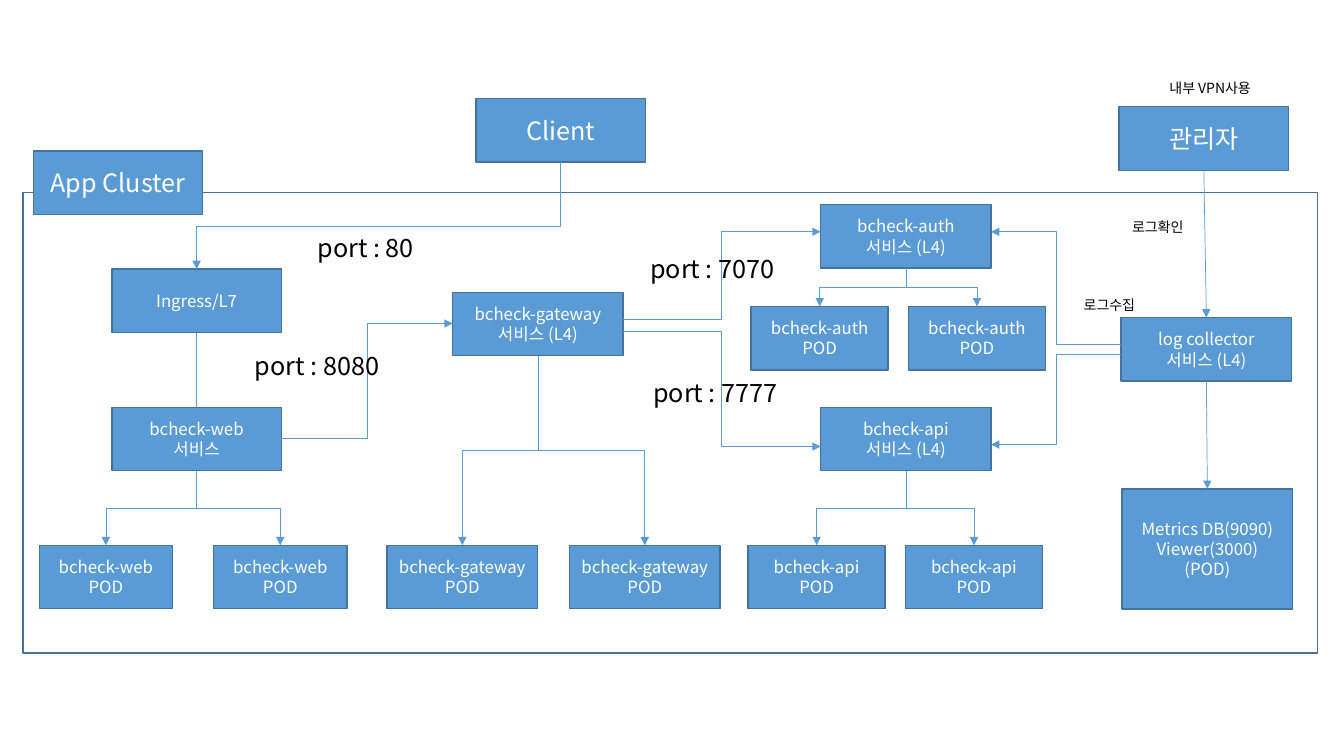
from lxml import etree
from pptx import Presentation
from pptx.dml.color import RGBColor
from pptx.enum.shapes import MSO_CONNECTOR, MSO_SHAPE
from pptx.enum.text import MSO_ANCHOR, MSO_AUTO_SIZE, PP_ALIGN
from pptx.oxml.ns import qn
from pptx.util import Inches, Pt

RECTANGLE = MSO_SHAPE.RECTANGLE
STRAIGHT, ELBOW = MSO_CONNECTOR.STRAIGHT, MSO_CONNECTOR.ELBOW
MIDDLE, CENTER, LEFT = MSO_ANCHOR.MIDDLE, PP_ALIGN.CENTER, PP_ALIGN.LEFT
GROW = MSO_AUTO_SIZE.SHAPE_TO_FIT_TEXT

FONT = "Noto Sans CJK KR"
BLUE, EDGE, WHITE, BLACK = "5B9BD5", "43739E", "FFFFFF", "000000"
BOX_HEIGHT = 0.63
CLUSTER = (0.23, 1.91, 12.84, 4.57)

# name: (text, size, left, top, width, height)
BOXES = {
    "cluster name": ("App Cluster", 18, 0.33, 1.5, 1.68, BOX_HEIGHT),
    "client": ("Client", 18, 4.72, 0.98, 1.68, BOX_HEIGHT),
    "admin": ("관리자", 18, 11.1, 1.06, 1.68, BOX_HEIGHT),
    "ingress": ("Ingress/L7", 12, 1.11, 2.67, 1.68, BOX_HEIGHT),
    "web": ("bcheck-web\n서비스", 12, 1.11, 4.04, 1.68, BOX_HEIGHT),
    "gateway": ("bcheck-gateway\n서비스 (L4)", 12, 4.49, 2.9, 1.69, BOX_HEIGHT),
    "auth": ("bcheck-auth\n서비스 (L4)", 12, 8.14, 2.03, 1.69, BOX_HEIGHT),
    "api": ("bcheck-api\n서비스 (L4)", 12, 8.14, 4.04, 1.69, BOX_HEIGHT),
    "collector": ("log collector\n서비스 (L4)", 12, 11.12, 3.15, 1.69, BOX_HEIGHT),
    "monitoring": ("Metrics DB(9090)\nViewer(3000)\n(POD)", 12, 11.13, 4.85, 1.69, 1.19),
}
# service: (left of each pod, top, width)
PODS = {
    "web": ((0.39, 2.12), 5.41, 1.32),
    "gateway": ((3.84, 5.65), 5.41, 1.49),
    "api": ((7.42, 8.98), 5.41, 1.36),
    "auth": ((7.45, 9.01), 3.04, 1.36),
}
# upper box, lower box, kind, arrowhead, place of the bend
DOWN_LINKS = [
    ("client", "ingress", ELBOW, True, 0.6),
    ("ingress", "web", STRAIGHT, False, None),
    ("admin", "collector", STRAIGHT, True, None),
    ("collector", "monitoring", STRAIGHT, True, None),
]
# start box, start height, end box, end height
SIDE_LINKS = [
    ("web", 4.35, "gateway", 3.21),
    ("gateway", 3.17, "auth", 2.3),
    ("gateway", 3.29, "api", 4.43),
    ("collector", 3.42, "auth", 2.3),
    ("collector", 3.52, "api", 4.41),
]
# text, size, left, top, width, height
LABELS = [
    ("port : 80", 18, 3.05, 2.26, 1.2, 0.4),
    ("port : 8080", 18, 2.43, 3.43, 1.48, 0.4),
    ("port : 7070", 18, 6.35, 2.46, 1.48, 0.4),
    ("port : 7777", 18, 6.38, 3.69, 1.48, 0.4),
    ("내부 VPN사용", 10, 11.5, 0.74, 1.09, 0.27),
    ("로그확인", 10, 11.13, 2.12, 0.76, 0.27),
    ("로그수집", 10, 10.65, 2.89, 0.76, 0.27),
]


def color(value):
    """Turn a hex string into a colour."""
    return RGBColor.from_string(value)


def write(frame, text, size, ink, align):
    """Fill a text frame and format its runs."""
    frame.text = text
    for para in frame.paragraphs:
        para.alignment = align
        for span in para.runs:
            span.font.size = Pt(size)
            span.font.name = FONT
            span.font.color.rgb = color(ink)
            properties = span.font._element
            etree.SubElement(properties, qn("a:ea"), typeface=FONT)


def add_box(place, fill):
    """Add an outlined rectangle."""
    box = slide.shapes.add_shape(RECTANGLE, *map(Inches, place))
    box.shadow.inherit = False
    box.fill.solid()
    box.fill.fore_color.rgb = color(fill)
    box.line.color.rgb = color(EDGE)
    box.line.width = Pt(1)
    return box


def add_node(text, size, *place):
    """Add a blue box with centred white text."""
    frame = add_box(place, BLUE).text_frame
    frame.word_wrap = True
    frame.vertical_anchor = MIDDLE
    write(frame, text, size, WHITE, CENTER)


def add_label(text, size, *place):
    """Add a free line of black text."""
    frame = slide.shapes.add_textbox(*map(Inches, place)).text_frame
    frame.word_wrap = False
    frame.auto_size = GROW
    write(frame, text, size, BLACK, LEFT)


def add_link(kind, start, end, arrow=True):
    """Add a thin connector, with an arrowhead at its end if asked."""
    link = slide.shapes.add_connector(kind, *map(Inches, (*start, *end)))
    link.line.color.rgb = color(BLUE)
    link.line.width = Pt(0.5)
    if arrow:
        etree.SubElement(link.line._get_or_add_ln(), qn("a:tailEnd"), type="triangle")
    etree.SubElement(link._element.spPr, qn("a:effectLst"))
    return link


def add_drop(start, end, bend=None):
    """Add an elbow that leaves downwards: a turned sideways elbow."""
    across, down = end[0] - start[0], end[1] - start[1]
    middle_x, middle_y = (start[0] + end[0]) / 2, (start[1] + end[1]) / 2
    reach = down / 2 if across > 0 else -down / 2
    half = abs(across) / 2
    link = add_link(ELBOW, (middle_x + reach, middle_y - half),
                    (middle_x - reach, middle_y + half))
    properties = link._element.spPr
    properties.find(qn("a:xfrm")).set("rot", str((270 if across > 0 else 90) * 60000))
    if bend:
        guides = properties.find(qn("a:prstGeom")).get_or_add_avLst()
        etree.SubElement(guides, qn("a:gd"), name="adj1", fmla=f"val {round(bend * 100000)}")


def top_of(place):
    """Give the middle of a box's top edge."""
    left, top, width, _ = place
    return left + width / 2, top


def bottom_of(place):
    """Give the middle of a box's bottom edge."""
    left, top, width, height = place
    return left + width / 2, top + height


deck = Presentation()
deck.slide_width, deck.slide_height = Inches(13.33), Inches(7.5)
slide = deck.slides.add_slide(deck.slide_layouts[6])

add_box(CLUSTER, WHITE)
for node in BOXES.values():
    add_node(*node)
places = {name: node[2:] for name, node in BOXES.items()}

for service, (lefts, top, width) in PODS.items():
    for left in lefts:
        pod = (left, top, width, BOX_HEIGHT)
        add_node(f"bcheck-{service}\nPOD", 12, *pod)
        add_drop(bottom_of(places[service]), top_of(pod))

for upper, lower, kind, arrow, bend in DOWN_LINKS:
    start, end = bottom_of(places[upper]), top_of(places[lower])
    if kind == ELBOW:
        add_drop(start, end, bend)
    else:
        add_link(kind, start, end, arrow)

for source, start_y, target, end_y in SIDE_LINKS:
    (from_left, _, from_width, _), (to_left, _, to_width, _) = places[source], places[target]
    if from_left < to_left:
        start_x, end_x = from_left + from_width, to_left
    else:
        start_x, end_x = from_left, to_left + to_width
    add_link(ELBOW, (start_x, start_y), (end_x, end_y))

for label in LABELS:
    add_label(*label)

deck.save("out.pptx")
